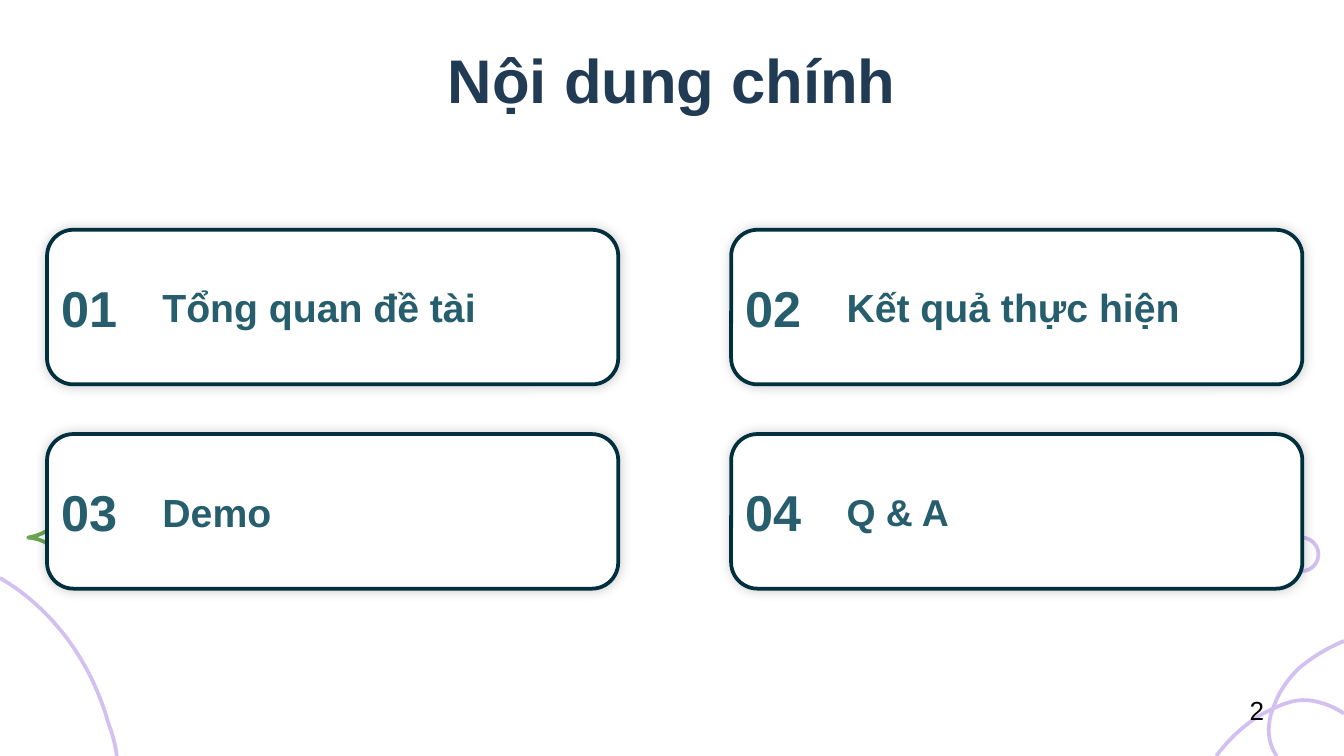
from dataclasses import dataclass
from typing import Optional

from lxml.etree import SubElement
from pptx import Presentation
from pptx.dml.color import RGBColor
from pptx.enum.shapes import MSO_SHAPE as Preset
from pptx.enum.text import MSO_ANCHOR as Anchor, MSO_AUTO_SIZE as AutoSize, PP_ALIGN as Align
from pptx.oxml.ns import qn
from pptx.util import Inches, Pt

COLORS = {
    "background": "FFFFFF",
    "title": "213B55",
    "border": "002F3E",
    "label": "265E6D",
    "lilac": "D2C1F0",
    "green": "6AA551",
    "black": "000000",
}
WIDTH = 10
HEIGHT = WIDTH * 9 / 16
CARD_LEFT, CARD_TOP = 0.35, 1.71
CARD_WIDTH, CARD_HEIGHT = 4.25, 1.15
COLUMN_STEP, ROW_STEP = 5.09, 1.52
NUMBER_SHIFT, NUMBER_WIDTH = -0.13, 0.76
CURVE_STEPS = 16

Point = tuple[float, float]


@dataclass(frozen=True)
class Box:
    left: float
    top: float
    width: float
    height: float

    def lengths(self) -> list[int]:
        return [Inches(value) for value in (self.left, self.top, self.width, self.height)]


@dataclass(frozen=True)
class TextStyle:
    size: float
    color: str
    bold: bool = True
    align: Optional[Align] = None
    anchor: Anchor = Anchor.TOP
    inset: float = 0.1
    indent: float = 0
    grow: bool = False


@dataclass(frozen=True)
class Topic:
    column: int
    row: int
    number: str
    label: str
    size: float = 21


@dataclass(frozen=True)
class Curve:
    color: str
    points: list[Point]
    closed: bool = False


TOPICS = [
    Topic(0, 0, "01", "Tổng quan đề tài"),
    Topic(1, 0, "02", "Kết quả thực hiện"),
    Topic(0, 1, "03", "Demo"),
    Topic(1, 1, "04", "Q & A", 20),
]
CURVES = [
    Curve("green", [
        (0.44, 3.74), (0.44, 3.95), (0.58, 3.98), (0.67, 4),
        (0.58, 4.01), (0.44, 4.04), (0.44, 4.25),
        (0.44, 4.04), (0.3, 4.01), (0.21, 4),
        (0.3, 3.98), (0.44, 3.95), (0.44, 3.74),
    ], closed=True),
    Curve("lilac", [
        (0, 4.3), (0.39, 4.53), (0.68, 4.92), (0.81, 5.39),
        (0.84, 5.47), (0.86, 5.55), (0.87, HEIGHT),
    ]),
    Curve("lilac", [
        (WIDTH, 4.77), (9.88, 4.82), (9.78, 4.88), (9.68, 4.96),
        (9.59, 5.04), (9.52, 5.14), (9.48, 5.25),
        (9.42, 5.39), (9.43, 5.53), (9.5, HEIGHT),
    ]),
    Curve("lilac", [
        (9.05, HEIGHT), (9.15, 5.49), (9.3, 5.35), (9.46, 5.28),
        (9.54, 5.24), (9.62, 5.21), (9.7, 5.21),
        (9.8, 5.21), (9.91, 5.25), (WIDTH, 5.31),
    ]),
]


def rgb(name: str) -> RGBColor:
    return RGBColor.from_string(COLORS[name])


def outline(shape, color: str, width: float) -> None:
    shape.shadow.inherit = False
    shape.line.color.rgb = rgb(color)
    shape.line.width = Pt(width)


def bezier(points: list[Point], share: float) -> Point:
    while len(points) > 1:
        points = [
            (x + (next_x - x) * share, y + (next_y - y) * share)
            for (x, y), (next_x, next_y) in zip(points, points[1:])
        ]
    return points[0]


def add_curve(slide, curve: Curve) -> None:
    vertices = [
        bezier(curve.points[start:start + 4], step / CURVE_STEPS)
        for start in range(0, len(curve.points) - 1, 3)
        for step in range(1, CURVE_STEPS + 1)
    ]
    start_x, start_y = curve.points[0]
    builder = slide.shapes.build_freeform(Inches(start_x), Inches(start_y))
    builder.add_line_segments([(Inches(x), Inches(y)) for x, y in vertices], close=curve.closed)
    shape = builder.convert_to_shape()
    shape.fill.background()
    outline(shape, curve.color, 2)
    SubElement(shape._element.spPr.find(qn("a:ln")), qn("a:round"))


def add_ring(slide, box: Box) -> None:
    ring = slide.shapes.add_shape(Preset.OVAL, *box.lengths())
    ring.fill.background()
    outline(ring, "lilac", 2)


def add_text(slide, box: Box, text: str, style: TextStyle) -> None:
    frame = slide.shapes.add_textbox(*box.lengths()).text_frame
    frame.word_wrap = True
    frame.auto_size = AutoSize.SHAPE_TO_FIT_TEXT if style.grow else AutoSize.NONE
    frame.vertical_anchor = style.anchor
    frame.margin_left = frame.margin_right = Inches(0.1)
    frame.margin_top = frame.margin_bottom = Inches(style.inset)
    paragraph = frame.paragraphs[0]
    paragraph.text = text
    paragraph.alignment = style.align
    if style.indent:
        properties = paragraph._p.get_or_add_pPr()
        properties.set("marL", str(Inches(style.indent)))
        properties.set("indent", "0")
    font = paragraph.font
    font.name = "Arial"
    font.size = Pt(style.size)
    font.bold = style.bold
    font.color.rgb = rgb(style.color)


def add_glow_shadow(shape) -> None:
    effects = shape._element.spPr.find(qn("a:effectLst"))
    shadow = SubElement(effects, qn("a:outerShdw"), blurRad=str(Pt(6)), dist="0", dir="0",
                        algn="ctr", rotWithShape="0")
    color = SubElement(shadow, qn("a:srgbClr"), val=COLORS["black"])
    SubElement(color, qn("a:alpha"), val="20000")


def add_topic(slide, topic: Topic) -> None:
    left = CARD_LEFT + topic.column * COLUMN_STEP
    top = CARD_TOP + topic.row * ROW_STEP
    card = slide.shapes.add_shape(
        Preset.ROUNDED_RECTANGLE, *Box(left, top, CARD_WIDTH, CARD_HEIGHT).lengths())
    card.adjustments[0] = 0.17
    card.fill.solid()
    card.fill.fore_color.rgb = rgb("background")
    outline(card, "border", 2)
    add_glow_shadow(card)
    add_text(slide, Box(left + NUMBER_SHIFT, top, NUMBER_WIDTH, CARD_HEIGHT), topic.number,
             TextStyle(27, "label", anchor=Anchor.MIDDLE, indent=0.14))
    add_text(slide, Box(left + NUMBER_WIDTH, top, CARD_WIDTH - NUMBER_WIDTH, CARD_HEIGHT),
             topic.label, TextStyle(topic.size, "label", anchor=Anchor.MIDDLE))


def main() -> None:
    presentation = Presentation()
    presentation.slide_width, presentation.slide_height = Inches(WIDTH), Inches(HEIGHT)
    slide = presentation.slides.add_slide(presentation.slide_layouts[6])
    slide.background.fill.solid()
    slide.background.fill.fore_color.rgb = rgb("background")
    add_ring(slide, Box(9.56, 4, 0.25, 0.25))
    for curve in CURVES:
        add_curve(slide, curve)
    add_text(slide, Box(0.43, 0.21, WIDTH - 2 * 0.43, 0.76), "Nội dung chính",
             TextStyle(33, "title", align=Align.CENTER, grow=True))
    for topic in TOPICS:
        add_topic(slide, topic)
    add_text(slide, Box(9.2, 5.12, 0.3, 0.34), "2",
             TextStyle(14, "black", bold=False, inset=0.05, grow=True))
    presentation.save("out.pptx")


if __name__ == "__main__":
    main()
